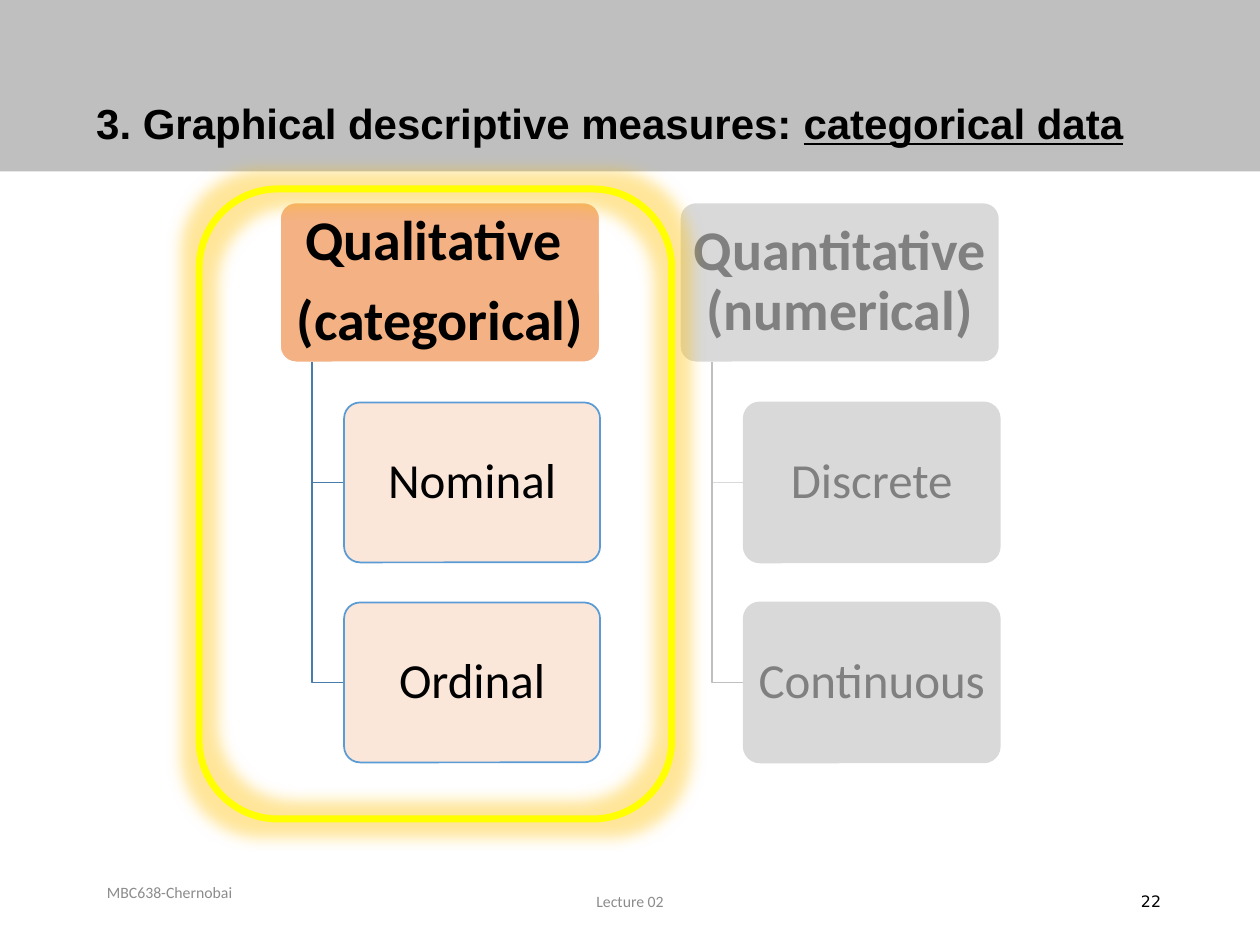
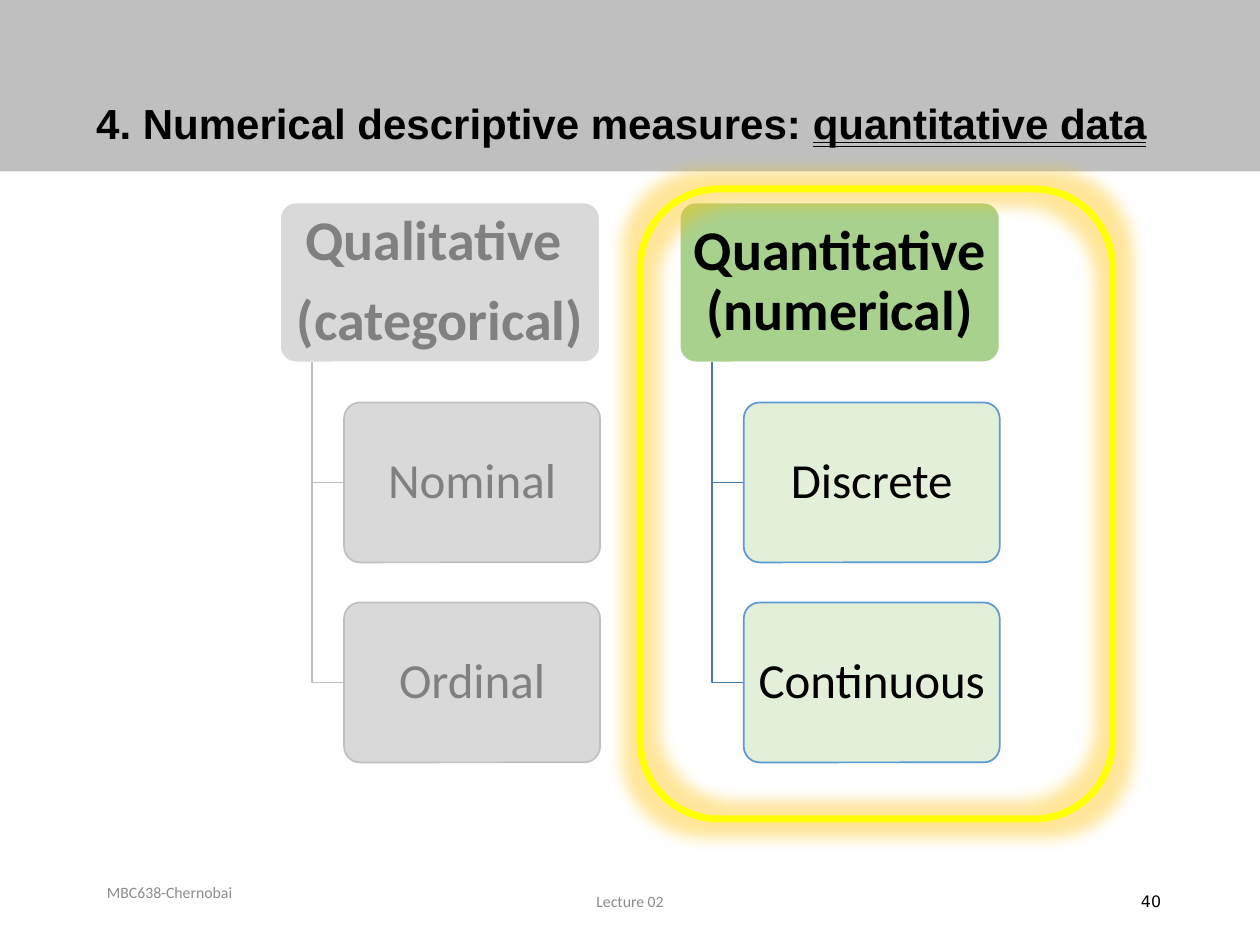
import lxml.etree
import pptx
import pptx.dml.color
import pptx.enum.shapes
import pptx.enum.text
import pptx.oxml.ns
import pptx.util

Pt = pptx.util.Pt
RGBColor = pptx.dml.color.RGBColor
Align = pptx.enum.text.PP_ALIGN
Underline = pptx.enum.text.MSO_UNDERLINE
Shape = pptx.enum.shapes.MSO_SHAPE
qn = pptx.oxml.ns.qn

BLACK = RGBColor(0x00, 0x00, 0x00)
WHITE = RGBColor(0xFF, 0xFF, 0xFF)
FOOTER_GREY = RGBColor(0x8C, 0x8C, 0x8C)
MUTED_TEXT = RGBColor(0x80, 0x80, 0x80)
MID_GREY = RGBColor(0xBF, 0xBF, 0xBF)
PALE_GREY = RGBColor(0xD9, 0xD9, 0xD9)
ORANGE = RGBColor(0xF4, 0xB1, 0x83)
PALE_ORANGE = RGBColor(0xFB, 0xE5, 0xD6)
GREEN = RGBColor(0xA9, 0xD1, 0x8E)
PALE_GREEN = RGBColor(0xE2, 0xF0, 0xD9)
BLUE = RGBColor(0x5B, 0x9B, 0xD5)
ELBOW_BLUE = RGBColor(0x49, 0x7C, 0xAB)
YELLOW = RGBColor(0xFF, 0xFF, 0x00)
GLOW = RGBColor(0xFF, 0xC0, 0x00)

COLUMN_LEFT, COLUMN_STEP = 160, 228.4
ROW_TOP, ROW_STEP = 115.7, 114.3
HEADER_WIDTH, CHILD_WIDTH, BOX_HEIGHT = 182.8, 146.3, 91.4
TRUNK_OFFSET, CHILD_OFFSET = 18.3, 36.6


def write(box, paragraphs, size=9, font="Calibri", color=BLACK, bold=False,
          align=Align.LEFT, spacing=None, after=None, margins=(7.2, 3.6)):
    frame = box.text_frame
    frame.word_wrap = True
    frame.vertical_anchor = pptx.enum.text.MSO_ANCHOR.MIDDLE
    frame.margin_left = frame.margin_right = Pt(margins[0])
    frame.margin_top = frame.margin_bottom = Pt(margins[1])
    for index, spans in enumerate(paragraphs):
        para = frame.add_paragraph() if index else frame.paragraphs[0]
        para.alignment = align
        para.line_spacing = spacing
        para.space_after = after
        for text, underline in spans:
            span = para.add_run()
            span.text = text
            span.font.size = Pt(size)
            span.font.name = font
            span.font.bold = bold
            span.font.color.rgb = color
            span.font.underline = underline


def add_box(page, kind, left, top, width, height, fill=None, line=None, weight=1):
    box = page.shapes.add_shape(kind, Pt(left), Pt(top), Pt(width), Pt(height))
    box.shadow.inherit = False
    if fill is None:
        box.fill.background()
    else:
        box.fill.solid()
        box.fill.fore_color.rgb = fill
    if line is None:
        box.line.fill.background()
    else:
        box.line.color.rgb = line
        box.line.width = Pt(weight)
    return box


deck = pptx.Presentation()
deck.slide_width, deck.slide_height = Pt(720), Pt(540)

headers = [["Qualitative ", "(categorical)"], ["Quantitative (numerical)"]]
children = [["Nominal", "Ordinal"], ["Discrete", "Continuous"]]

active_orange = dict(header=ORANGE, child=PALE_ORANGE, outline=BLUE,
                     elbows=[ELBOW_BLUE, ELBOW_BLUE], text=BLACK, opacity=90)
active_green = dict(header=GREEN, child=PALE_GREEN, outline=BLUE,
                    elbows=[ELBOW_BLUE, ELBOW_BLUE], text=BLACK, opacity=100)
muted_left = dict(header=PALE_GREY, child=PALE_GREY, outline=MID_GREY,
                  elbows=[MID_GREY, MID_GREY], text=MUTED_TEXT, opacity=100)
muted_right = dict(muted_left, outline=PALE_GREY, elbows=[PALE_GREY, MID_GREY])

slides = [
    ("3. Graphical descriptive measures: ", "categorical data", Underline.SINGLE_LINE,
     "22", [active_orange, muted_right], 113.8),
    ("4. Numerical descriptive measures: ", "quantitative data", Underline.DOUBLE_LINE,
     "40", [muted_left, active_green], 365.8),
]

for title, topic, underline, number, styles, highlight_left in slides:
    page = deck.slides.add_slide(deck.slide_layouts[6])

    footers = [
        ("MBC638-Chernobai", (54, 492, 150, 36), Align.LEFT, "Calibri", FOOTER_GREY),
        ("Lecture 02", (238.5, 500.5, 243, 28.75), Align.CENTER, "Calibri", FOOTER_GREY),
        (number, (508.5, 500.5, 162, 28.75), Align.RIGHT, "DejaVu Sans", BLACK),
    ]
    for text, place, align, font, color in footers:
        footer = page.shapes.add_textbox(*map(Pt, place))
        write(footer, [[(text, None)]], font=font, color=color, align=align)

    add_box(page, Shape.RECTANGLE, 0, 0, 720, 98, fill=MID_GREY)
    heading = page.shapes.add_textbox(Pt(47.9), Pt(19.5), Pt(621), Pt(104.4))
    write(heading, [[(title, None), (topic, underline)]],
          size=24, font="Arial", bold=True, spacing=0.9)

    for column, style in enumerate(styles):
        left = COLUMN_LEFT + column * COLUMN_STEP
        header = add_box(page, Shape.ROUNDED_RECTANGLE, left, ROW_TOP, HEADER_WIDTH,
                         BOX_HEIGHT, fill=style["header"], line=WHITE)
        header.adjustments[0] = 0.1
        write(header, [[(text, None)] for text in headers[column]], size=32, bold=True,
              color=style["text"], align=Align.CENTER, spacing=0.9, after=Pt(11.2),
              margins=(3, 3))

        for row, label in enumerate(children[column], start=1):
            top = ROW_TOP + row * ROW_STEP
            trunk = left + TRUNK_OFFSET
            middle = top + BOX_HEIGHT / 2
            child_left = left + CHILD_OFFSET
            outline = page.shapes.build_freeform(Pt(trunk), Pt(ROW_TOP + BOX_HEIGHT))
            outline.add_line_segments(
                [(Pt(trunk), Pt(middle)), (Pt(child_left), Pt(middle))], close=False)
            elbow = outline.convert_to_shape()
            elbow.shadow.inherit = False
            elbow.fill.background()
            elbow.line.color.rgb = style["elbows"][row - 1]
            elbow.line.width = Pt(1)

            child = add_box(page, Shape.ROUNDED_RECTANGLE, child_left, top, CHILD_WIDTH,
                            BOX_HEIGHT, fill=style["child"], line=style["outline"])
            child.adjustments[0] = 0.1
            if style["opacity"] < 100:
                fill_color = child.element.spPr.find(qn("a:solidFill"))[0]
                lxml.etree.SubElement(fill_color, qn("a:alpha"),
                                      val=str(style["opacity"] * 1000))
            write(child, [[(label, None)]], size=28, color=style["text"],
                  align=Align.CENTER, spacing=0.9, after=Pt(9.8), margins=(3, 3))

    highlight = add_box(page, Shape.ROUNDED_RECTANGLE, highlight_left, 108, 270, 360,
                        line=YELLOW, weight=4)
    effects = highlight.element.spPr.find(qn("a:effectLst"))
    glow = lxml.etree.SubElement(effects, qn("a:glow"), rad=str(Pt(18)))
    glow_color = lxml.etree.SubElement(glow, qn("a:srgbClr"), val=str(GLOW))
    lxml.etree.SubElement(glow_color, qn("a:alpha"), val="40000")

deck.save("out.pptx")
